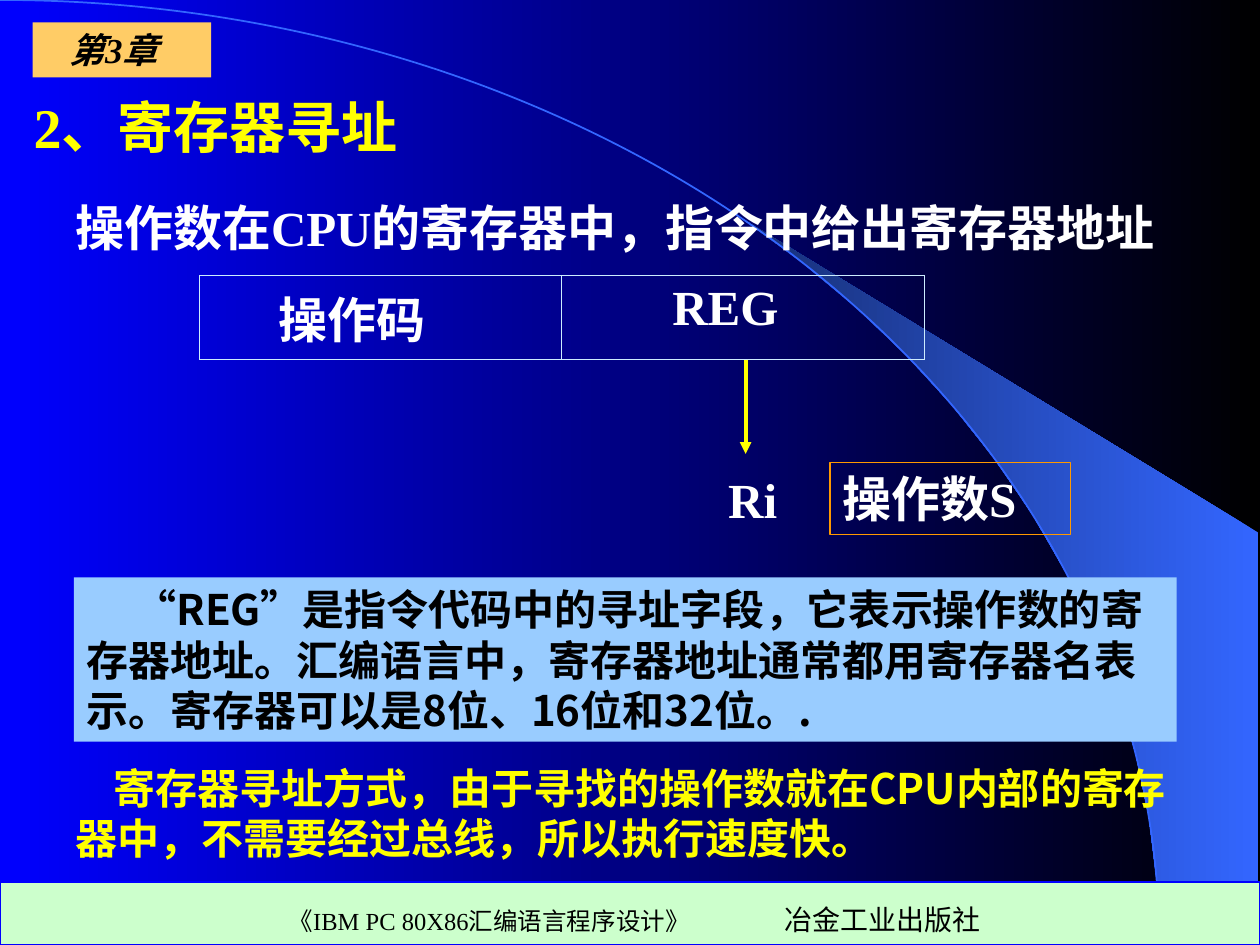
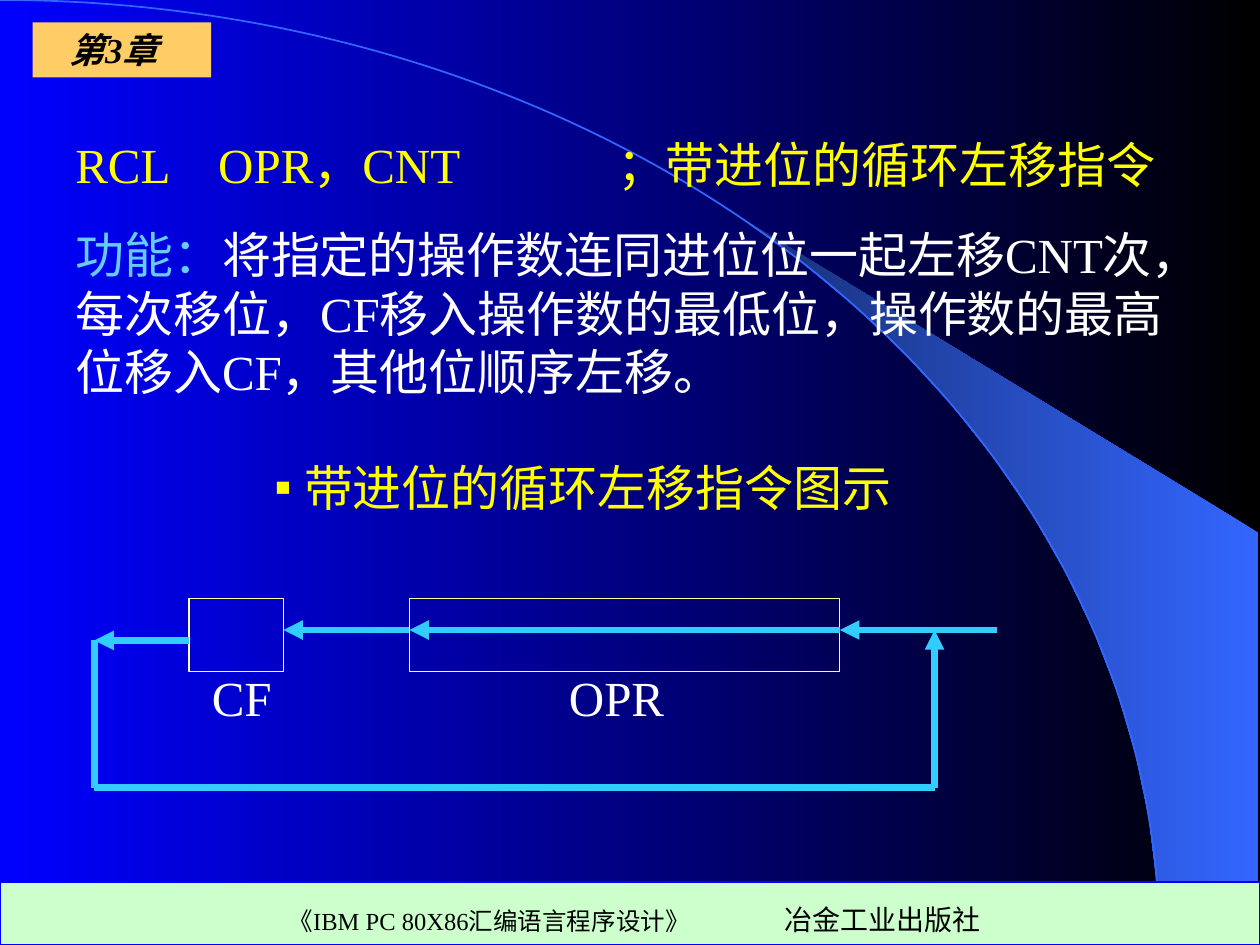
from math import asin, cos, pi, sin

from pptx import Presentation
from pptx.dml.color import RGBColor
from pptx.enum.shapes import MSO_CONNECTOR, MSO_SHAPE
from pptx.enum.text import MSO_ANCHOR, PP_ALIGN
from pptx.oxml.ns import qn
from pptx.util import Cm, Pt
from lxml.etree import SubElement

BLACK = RGBColor(0x00, 0x00, 0x00)
WHITE = RGBColor(0xFF, 0xFF, 0xFF)
BLUE = RGBColor(0x00, 0x00, 0xFF)
ARC_BLUE = RGBColor(0x33, 0x66, 0xFF)
BEAM_DARK = RGBColor(0x17, 0x2F, 0x75)
YELLOW = RGBColor(0xFF, 0xFF, 0x00)
TAG_ORANGE = RGBColor(0xFF, 0xCC, 0x66)
OPERAND_ORANGE = RGBColor(0xFF, 0x99, 0x00)
FOOTER_GREEN = RGBColor(0xCC, 0xFF, 0xCC)
NOTE_BLUE = RGBColor(0x99, 0xCC, 0xFF)
GRID_BLUE = RGBColor(0xCC, 0xEC, 0xFF)
LABEL_BLUE = RGBColor(0x66, 0xCC, 0xFF)
REGISTER_YELLOW = RGBColor(0xFF, 0xFF, 0x99)
FLOW_CYAN = RGBColor(0x33, 0xCC, 0xFF)

SERIF = "Times New Roman"
SANS = "Noto Sans CJK SC"
WIDTH, HEIGHT = 25.4, 19.05
ARC_WIDTH, ARC_HEIGHT = 23.37, 19.02
LINE_PITCH = 1.2
INSET_X, INSET_Y = 0.25, 0.13


def add_run(paragraph, text, size, color, face=SERIF, bold=False, italic=False):
    run = paragraph.add_run()
    run.text = text
    font = run.font
    font.size, font.bold, font.italic = Pt(size), bold, italic
    font.color.rgb = color
    font.name = face
    SubElement(run._r.get_or_add_rPr(), qn("a:ea"), typeface=SANS)


def set_tabs(paragraph, *stops):
    tab_list = SubElement(paragraph._p.get_or_add_pPr(), qn("a:tabLst"))
    for stop in stops:
        SubElement(tab_list, qn("a:tab"), pos=str(Cm(stop)), algn="l")


def set_indent(paragraph, first, left=0):
    properties = paragraph._p.get_or_add_pPr()
    properties.set("marL", str(Cm(left)))
    properties.set("indent", str(Cm(first)))


def prepare_frame(shape, size):
    """Set insets and the even line pitch; return the frame's first paragraph."""
    frame = shape.text_frame
    frame.word_wrap = True
    frame.vertical_anchor = MSO_ANCHOR.TOP
    frame.margin_left = frame.margin_right = Cm(INSET_X)
    frame.margin_top = frame.margin_bottom = Cm(INSET_Y)
    paragraph = frame.paragraphs[0]
    paragraph.alignment = PP_ALIGN.LEFT
    paragraph.line_spacing = Pt(size * LINE_PITCH)
    return paragraph


def add_text(slide, box, text, size, color, **style):
    area = slide.shapes.add_textbox(*map(Cm, box))
    paragraph = prepare_frame(area, size)
    add_run(paragraph, text, size, color, **style)
    return paragraph


def add_preset(slide, preset, box, fill=None, line=None, line_width=0.75):
    shape = slide.shapes.add_shape(preset, *map(Cm, box))
    shape.shadow.inherit = False
    if fill is None:
        shape.fill.background()
    else:
        shape.fill.solid()
        shape.fill.fore_color.rgb = fill
    if line is None:
        shape.line.fill.background()
    else:
        shape.line.color.rgb = line
        shape.line.width = Pt(line_width)
    return shape


def add_rect(slide, box, fill=None, line=None):
    return add_preset(slide, MSO_SHAPE.RECTANGLE, box, fill, line)


def add_line(slide, start, end, color, width, arrow=True):
    line = slide.shapes.add_connector(
        MSO_CONNECTOR.STRAIGHT, *map(Cm, start + end))
    line.line.color.rgb = color
    line.line.width = Pt(width)
    if arrow:
        SubElement(line.line._get_or_add_ln(), qn("a:tailEnd"), type="triangle")
    SubElement(line._element.spPr, qn("a:effectLst"))


def set_gradient(fill, first, last):
    fill.gradient()
    fill.gradient_angle = 180
    for stop, color in zip(fill.gradient_stops, (first, last)):
        stop.color.rgb = color


def arc_points(start_angle, steps):
    """Points on the quarter ellipse from start_angle down to the footer."""
    span = pi / 2 - start_angle
    angles = [start_angle + span * i / steps for i in range(steps + 1)]
    return [(Cm(ARC_WIDTH * sin(a)), Cm(ARC_HEIGHT * (1 - cos(a))))
            for a in angles]


def add_backdrop(slide):
    set_gradient(slide.background.fill, BLACK, BLUE)
    right = Cm(WIDTH - 0.03)
    inner_edge = arc_points(asin(14.96 / ARC_WIDTH), 13)
    builder = slide.shapes.build_freeform(*inner_edge[0], scale=1.0)
    builder.add_line_segments(
        inner_edge[1:] + [(right, Cm(ARC_HEIGHT)), (right, Cm(10.74))])
    beam = builder.convert_to_shape()
    beam.shadow.inherit = False
    set_gradient(beam.fill, ARC_BLUE, BEAM_DARK)
    beam.line.fill.background()
    add_preset(slide, MSO_SHAPE.ARC,
               (-ARC_WIDTH, 0, 2 * ARC_WIDTH, 2 * ARC_HEIGHT),
               line=ARC_BLUE, line_width=1)


def add_chapter_tag(slide, box):
    tag = add_rect(slide, box, TAG_ORANGE)
    paragraph = prepare_frame(tag, 20)
    paragraph.alignment = PP_ALIGN.CENTER
    tag.text_frame.margin_right = Cm(0.58)
    add_run(paragraph, "第3章", 20, BLACK, bold=True, italic=True)


def add_footer(slide, box):
    band = add_rect(slide, box, FOOTER_GREEN, BLUE)
    frame = band.text_frame
    frame.vertical_anchor = MSO_ANCHOR.MIDDLE
    frame.margin_left = Cm(5.82)
    frame.margin_top = Cm(0.36)
    paragraph = frame.paragraphs[0]
    paragraph.alignment = PP_ALIGN.LEFT
    set_tabs(paragraph, 10)
    add_run(paragraph, "《IBM PC 80X86汇编语言程序设计》\t", 14, BLACK)
    add_run(paragraph, "冶金工业出版社", 16, BLACK)


def add_course_slide(prs):
    slide = prs.slides.add_slide(prs.slide_layouts[6])
    add_backdrop(slide)
    add_chapter_tag(slide, (0.66, 0.45, 3.6, 1.11))
    add_footer(slide, (0, 17.78, WIDTH, 1.27))
    return slide


def add_instruction_format(slide, box):
    """Table with the opcode field and the register field."""
    table = slide.shapes.add_table(1, 2, *map(Cm, box)).table
    table.first_row = table.horz_banding = False
    fields = (("操作码", 1.6), ("REG", 2.23))
    for column, (field, margin) in enumerate(fields):
        table.columns[column].width = Cm(box[2] / 2)
        cell = table.cell(0, column)
        cell.margin_left = Cm(margin)
        add_run(cell.text_frame.paragraphs[0], field, 28, WHITE, bold=True)
        properties = cell._tc.get_or_add_tcPr()
        for side in ("a:lnL", "a:lnR", "a:lnT", "a:lnB"):
            border = SubElement(properties, qn(side), w=str(Pt(0.45)))
            solid = SubElement(border, qn("a:solidFill"))
            SubElement(solid, qn("a:srgbClr"), val=str(GRID_BLUE))
        cell.fill.background()


def add_addressing_diagram(slide, box):
    left, top, width, height = box
    row_height = 1.7
    add_instruction_format(slide, (left, top, width, row_height))
    pointer_x = left + 11.01
    add_line(slide, (pointer_x, top + row_height), (pointer_x, top + 3.6),
             YELLOW, 2.25)
    operand_top = top + height - 1.46
    add_text(slide, (left + 10.41, operand_top + 0.02, 1.8, 1.46),
             "Ri", 28, WHITE, bold=True)
    operand = add_rect(slide, (left + 12.71, operand_top, 4.85, 1.46),
                       line=OPERAND_ORANGE)
    add_run(prepare_frame(operand, 28), "操作数S", 28, WHITE, bold=True)


def build_register_addressing(prs):
    slide = add_course_slide(prs)
    add_text(slide, (0.43, 1.73, 17.35, 1.63), "2、寄存器寻址",
             32, YELLOW, bold=True)
    add_text(slide, (1.27, 3.86, 23.93, 1.45),
             "操作数在CPU的寄存器中，指令中给出寄存器地址",
             28, WHITE, bold=True)
    add_addressing_diagram(slide, (4.02, 5.55, 14.61, 5.23))

    note = add_rect(slide, (1.49, 11.64, 22.23, 3.31), NOTE_BLUE)
    explanation = prepare_frame(note, 24)
    add_run(explanation,
            "“REG”是指令代码中的寻址字段，它表示操作数的寄存器地址。"
            "汇编语言中，寄存器地址通常都用寄存器名表示。"
            "寄存器可以是8位、16位和32位。.",
            24, BLACK, face=SANS, bold=True)
    set_indent(explanation, 0.97)
    conclusion = add_text(
        slide, (1.27, 15.24, 23.29, 2.29),
        "寄存器寻址方式，由于寻找的操作数就在CPU内部的寄存器中，"
        "不需要经过总线，所以执行速度快。",
        24, YELLOW, face=SANS, bold=True)
    set_indent(conclusion, 0.76)


def add_instruction_text(slide, box):
    syntax = add_text(slide, box, "RCL\tOPR，CNT\t；带进位的循环左移指令",
                      28, YELLOW)
    set_tabs(syntax, 2.88, 10.92)
    area = slide.shapes[-1]
    function = area.text_frame.add_paragraph()
    function.line_spacing = Pt(28 * LINE_PITCH)
    function.space_before = Pt(17.5)
    function._p.get_or_add_pPr().set("hangingPunct", "0")
    add_run(function, "功能：", 28, LABEL_BLUE)
    add_run(function,
            "将指定的操作数连同进位位一起左移CNT次，每次移位，"
            "CF移入操作数的最低位，操作数的最高位移入CF，其他位顺序左移。",
            28, WHITE)


def add_diagram_heading(slide, box):
    heading = add_text(slide, box, "带进位的循环左移指令图示", 28, YELLOW)
    set_indent(heading, -0.6, 0.6)
    properties = heading._p.get_or_add_pPr()
    bullet_color = SubElement(properties, qn("a:buClr"))
    SubElement(bullet_color, qn("a:srgbClr"), val=str(YELLOW))
    SubElement(properties, qn("a:buFont"), typeface=SERIF)
    SubElement(properties, qn("a:buChar"), char="▪")


def add_rotate_diagram(slide, box):
    left, top, width, height = box
    cf_left, cf_right = left + 1.91, left + 3.81
    opr_left, opr_right = left + 6.35, left + 15.03
    loop_right, right = left + 16.94, left + width
    shift_y, exit_y, bottom = top + 0.63, top + 0.84, top + height

    registers = (("OPR", opr_left, opr_right, left + 9.32),
                 ("CF", cf_left, cf_right, left + 2.12))
    for name, start, end, label_left in registers:
        add_rect(slide, (start, top, end - start, 1.47), line=REGISTER_YELLOW)
        add_text(slide, (label_left, top + 1.26, 2.8, 1.46), name, 28, WHITE)

    flow = (
        ((opr_right, shift_y), (opr_left, shift_y), True),
        ((opr_left, shift_y), (cf_right, shift_y), True),
        ((cf_left, exit_y), (left, exit_y), True),
        ((left, exit_y), (left, bottom), False),
        ((left, bottom), (loop_right, bottom), False),
        ((right, shift_y), (opr_right, shift_y), True),
        ((loop_right, bottom), (loop_right, shift_y), True),
    )
    for start, end, arrow in flow:
        add_line(slide, start, end, FLOW_CYAN, 3.75, arrow)


def build_rotate_through_carry(prs):
    slide = add_course_slide(prs)
    add_instruction_text(slide, (1.27, 2.59, 23.29, 5.61))
    add_diagram_heading(slide, (5.28, 9.1, 14.4, 1.45))
    add_rotate_diagram(slide, (1.9, 12.07, 18.2, 3.81))


def main():
    prs = Presentation()
    prs.slide_width, prs.slide_height = Cm(WIDTH), Cm(HEIGHT)
    build_register_addressing(prs)
    build_rotate_through_carry(prs)
    prs.save("out.pptx")


if __name__ == "__main__":
    main()
